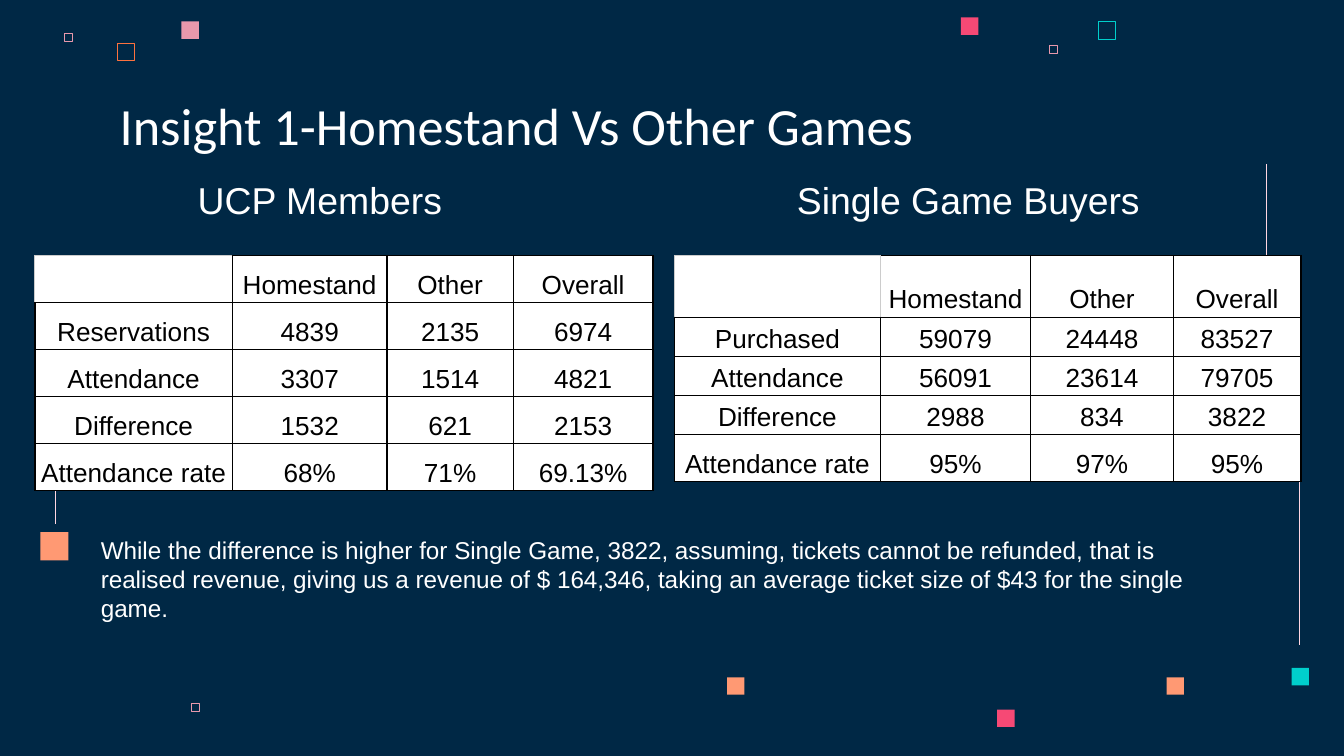
"""Build the slide that compares homestand games with other games."""
from lxml.etree import SubElement
from pptx import Presentation
from pptx.dml.color import RGBColor
from pptx.enum.shapes import MSO_CONNECTOR, MSO_SHAPE
from pptx.enum.text import MSO_ANCHOR, MSO_AUTO_SIZE, PP_ALIGN
from pptx.oxml.ns import qn
from pptx.util import Inches, Pt

HUES = {
    "navy": "002845", "white": "FFFFFF", "black": "000000", "grey": "CCCCCC",
    "blush": "FFD6E1", "peach": "FF9973", "teal": "00CFCC", "rose": "F64975",
    "pink": "E898AC", "rust": "FC723F",
}


def write(frame, text, size=14, font="Arial", hue="black", align=PP_ALIGN.LEFT,
          gap=0, lead=1.0):
    para = frame.paragraphs[0]
    para.alignment = align
    para.line_spacing = lead
    para.space_before = Pt(0)
    para.space_after = Pt(gap)
    run = para.add_run()
    run.text = text
    run.font.size = Pt(size)
    run.font.name = font
    run.font.bold = False
    run.font.color.rgb = RGBColor.from_string(HUES[hue])


def edge(cell, side, hue, width):
    line = SubElement(cell._tc.get_or_add_tcPr(), qn(f"a:ln{side}"), w=str(Pt(width)))
    fill = SubElement(line, qn("a:solidFill"))
    SubElement(fill, qn("a:srgbClr"), val=HUES[hue])


deck = Presentation()
deck.slide_width = Inches(10)
deck.slide_height = Inches(10) * 9 // 16
slide = deck.slides.add_slide(deck.slide_layouts[4])
shapes = slide.shapes
slide.background.fill.solid()
slide.background.fill.fore_color.rgb = RGBColor.from_string(HUES["navy"])

note = (
    "While the difference is higher for Single Game, 3822, assuming, tickets cannot be "
    "refunded, that is realised revenue, giving us a revenue of $ 164,346, taking an "
    "average ticket size of $43 for the single game."
)
texts = [
    (0, "Insight 1-Homestand Vs Other Games", (0.79, 0.59, 8.43, 0.63), 28, "Calibri", 0),
    (1, "UCP Members", (1.37, 1.22, 3.25, 0.79), 20, "Arial", 10),
    (2, note, (0.65, 3.88, 8.47, 0.96), 13, "Arial", 10),
    (3, "Single Game Buyers", (5.83, 1.22, 3.2, 0.79), 20, "Arial", 10),
]
holders = {item.placeholder_format.idx: item for item in slide.placeholders}
for idx, text, box, size, font, gap in texts:
    item = holders.pop(idx)
    item.left, item.top, item.width, item.height = map(Inches, box)
    frame = item.text_frame
    frame.word_wrap = True
    frame.auto_size = MSO_AUTO_SIZE.NONE
    frame.vertical_anchor = MSO_ANCHOR.TOP
    frame.margin_left = frame.margin_right = Inches(0.1)
    frame.margin_top = frame.margin_bottom = Inches(0.1)
    write(frame, text, size=size, font=font, hue="white", gap=gap)
    props = frame.paragraphs[0]._p.get_or_add_pPr()
    props.set("marL", "0")
    props.set("indent", "0")
    SubElement(props, qn("a:buNone"))
for item in holders.values():
    item.element.getparent().remove(item.element)

for x, top, end in [(0.41, 2.06, 3.9), (9.42, 1.22, 2.33), (9.67, 2.96, 4.8)]:
    line = shapes.add_connector(
        MSO_CONNECTOR.STRAIGHT, Inches(x), Inches(top), Inches(x), Inches(end))
    line.line.color.rgb = RGBColor.from_string(HUES["blush"])
    line.line.width = Pt(0.5)
    SubElement(line.element.spPr, qn("a:effectLst"))

squares = [
    (0.3, 3.96, 0.21, "peach", True), (8.17, 0.16, 0.13, "teal", False),
    (9.61, 4.97, 0.13, "teal", True), (5.41, 5.04, 0.13, "peach", True),
    (7.42, 5.28, 0.13, "rose", True), (8.68, 5.04, 0.13, "peach", True),
    (1.42, 5.23, 0.06, "pink", False), (7.81, 0.34, 0.06, "pink", False),
    (7.15, 0.13, 0.13, "rose", True), (0.48, 0.25, 0.06, "pink", False),
    (0.87, 0.32, 0.13, "rust", False), (1.35, 0.16, 0.13, "pink", True),
]
for x, y, size, hue, solid in squares:
    square = shapes.add_shape(
        MSO_SHAPE.RECTANGLE, Inches(x), Inches(y), Inches(size), Inches(size))
    square.shadow.inherit = False
    tint = RGBColor.from_string(HUES[hue])
    if solid:
        square.fill.solid()
        square.fill.fore_color.rgb = tint
        square.line.fill.background()
    else:
        square.fill.background()
        square.line.color.rgb = tint
        square.line.width = Pt(0.23)

head = ["", "Homestand", "Other", "Overall"]
tables = [
    (0.26, [1.47, 1.15, 0.94, 1.04], [0.35] * 5, {(0, 0): "LT"}, [
        head,
        ["Reservations", "4839", "2135", "6974"],
        ["Attendance", "3307", "1514", "4821"],
        ["Difference", "1532", "621", "2153"],
        ["Attendance rate", "68%", "71%", "69.13%"],
    ]),
    (5.02, [1.53, 1.12, 1.06, 0.95], [0.46, 0.25, 0.25, 0.25, 0.35],
     {(0, 0): "LTR", (0, 1): "L"}, [
        head,
        ["Purchased", "59079", "24448", "83527"],
        ["Attendance", "56091", "23614", "79705"],
        ["Difference", "2988", "834", "3822"],
        ["Attendance rate", "95%", "97%", "95%"],
    ]),
]
for left, wides, highs, pale, rows in tables:
    table = shapes.add_table(
        len(rows), len(wides), Inches(left), Inches(1.9),
        Inches(sum(wides)), Inches(sum(highs))).table
    for col, wide in zip(table.columns, wides):
        col.width = Inches(wide)
    for row, high in zip(table.rows, highs):
        row.height = Inches(high)
    for r, row in enumerate(rows):
        for c, text in enumerate(row):
            cell = table.cell(r, c)
            cell.vertical_anchor = MSO_ANCHOR.BOTTOM
            cell.margin_left = cell.margin_right = Inches(0.03)
            cell.margin_top = cell.margin_bottom = Inches(0.02)
            for side in "LRTB":
                light = side in pale.get((r, c), "")
                edge(cell, side, "grey" if light else "black", 0.6 if light else 0.75)
            cell.fill.solid()
            cell.fill.fore_color.rgb = RGBColor.from_string(HUES["white"])
            if text:
                write(cell.text_frame, text, align=PP_ALIGN.CENTER, lead=1.15)

deck.save("out.pptx")
